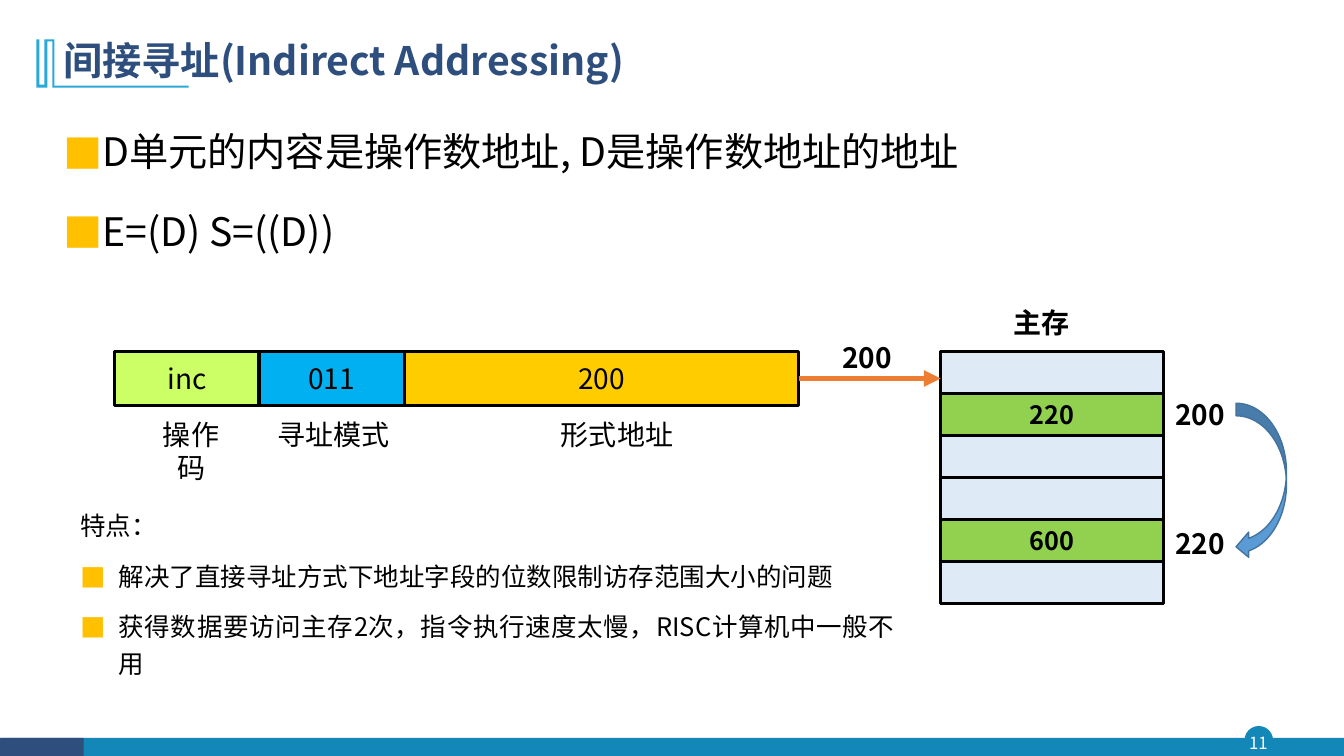
from lxml.etree import SubElement
from pptx import Presentation
from pptx.dml.color import RGBColor
from pptx.enum.shapes import MSO_CONNECTOR, MSO_SHAPE
from pptx.enum.text import MSO_ANCHOR, MSO_AUTO_SIZE, PP_ALIGN
from pptx.oxml.ns import qn
from pptx.util import Inches, Pt

TITLE = "间接寻址(Indirect Addressing)"
DEFINITIONS = ["D单元的内容是操作数地址, D是操作数地址的地址", "E=(D) S=((D))"]
FEATURES_HEAD = "特点："
FEATURES = [
    "解决了直接寻址方式下地址字段的位数限制访存范围大小的问题",
    "获得数据要访问主存2次，指令执行速度太慢，RISC计算机中一般不用",
]
# value, width, fill, caption, caption left, caption width
FIELDS = [
    ("inc", 1.43, "lime", "操作码", 1.38, 1.03),
    ("011", 1.44, "sky", "寻址模式", 2.65, 1.32),
    ("200", 3.91, "amber", "形式地址", 4.23, 3.78),
]
MEMORY = ["", "220", "", "", "600", ""]
# text, left, top, width
BOLD_LABELS = [
    ("200", 8.24, 3.33, 0.72),
    ("主存", 9.95, 2.98, 0.76),
    ("200", 11.54, 3.89, 0.72),
    ("220", 11.54, 5.17, 0.72),
]
PAGE_NUMBER = "11"

THEME = {
    "font": "Noto Sans CJK SC",
    "colors": {
        "black": "000000", "white": "FFFFFF", "navy": "2E4E7E", "teal": "1387B7",
        "cyan": "28A9D6", "lime": "CCFF66", "sky": "00B0F0", "amber": "FFCC00",
        "bullet": "FFC000", "orange": "ED7D31", "pale": "DEEBF7", "green": "92D050",
        "blue": "5B9BD5", "blue_edge": "43739E",
    },
    "sizes": {"title": 28, "body": 28, "label": 20, "cell": 18, "feature": 18.2, "page": 12},
}

FIELD_LEFT, ROW_TOP, FIELD_H = 1.14, 3.49, 0.53
MEM_LEFT, MEM_W, MEM_H, MEM_STEP = 9.33, 2.21, 0.42, 0.416
CAPTION_TOP, LABEL_H = 4.09, 0.44
BULLET_INDENT = 0.38
ORNAMENT = [
    (0.54, 0.39), (0.54, 0.85), (1.87, 0.85), (1.87, 0.87), (0.52, 0.87), (0.52, 0.41),
    (0.47, 0.41), (0.47, 0.87), (0.36, 0.87), (0.36, 0.39), (0.39, 0.39), (0.39, 0.84),
    (0.44, 0.84), (0.44, 0.39),
]


def color(name):
    return RGBColor.from_string(THEME["colors"][name])


def box(*lengths):
    return [Inches(v) for v in lengths]


def write(p, text, size, ink="black", bold=False, **layout):
    """Add one run to p; layout holds paragraph format values."""
    for name, value in layout.items():
        setattr(p, name, value)
    r = p.add_run()
    r.text = text
    look = {"name": THEME["font"], "size": Pt(THEME["sizes"][size]), "bold": bold}
    for name, value in look.items():
        setattr(r.font, name, value)
    r.font.color.rgb = color(ink)
    SubElement(r.font._element, qn("a:ea"), typeface=THEME["font"])


def add_bullet(p):
    pPr = p._p.get_or_add_pPr()
    pPr.set("marL", str(Inches(BULLET_INDENT)))
    pPr.set("indent", str(-Inches(BULLET_INDENT)))
    bu_color = SubElement(pPr, qn("a:buClr"))
    SubElement(bu_color, qn("a:srgbClr"), val=THEME["colors"]["bullet"])
    SubElement(pPr, qn("a:buFont"), typeface=THEME["font"])
    SubElement(pPr, qn("a:buChar"), char="■")


def paint(sp, fill, line=None, width=1):
    sp.shadow.inherit = False
    sp.fill.solid()
    sp.fill.fore_color.rgb = color(fill)
    if line:
        sp.line.color.rgb = color(line)
        sp.line.width = Pt(width)
    else:
        sp.line.fill.background()
    return sp


def add_shape(slide, kind, at, *style):
    return paint(slide.shapes.add_shape(kind, *box(*at)), *style)


def add_cell(slide, at, fill, width, text, size, bold=False):
    sp = add_shape(slide, MSO_SHAPE.RECTANGLE, at, fill, "black", width)
    if text:
        tf = sp.text_frame
        tf.word_wrap = False
        tf.vertical_anchor = MSO_ANCHOR.MIDDLE
        write(tf.paragraphs[0], text, size, bold=bold, alignment=PP_ALIGN.CENTER)
    return sp


def add_text(slide, at):
    tf = slide.shapes.add_textbox(*box(*at)).text_frame
    tf.word_wrap = True
    return tf


def add_label(slide, text, left, top, width, bold=False):
    tf = add_text(slide, (left, top, width, LABEL_H))
    tf.word_wrap = False
    write(tf.paragraphs[0], text, "label", bold=bold, alignment=PP_ALIGN.CENTER)


def add_list(slide, at, items, size, spacing, head=None):
    """Write a bulleted list, below an unbulleted head if one is given."""
    tf = add_text(slide, at)
    for i, text in enumerate(([head] if head else []) + items):
        p = tf.add_paragraph() if i else tf.paragraphs[0]
        if text != head:
            add_bullet(p)
        write(p, text, size, alignment=PP_ALIGN.JUSTIFY, line_spacing=spacing,
              space_before=Pt(10 if i else 0))


def add_frame(slide):
    add_shape(slide, MSO_SHAPE.OVAL, (12.35, 7.21, 0.27, 0.27), "teal", "teal")
    add_shape(slide, MSO_SHAPE.RECTANGLE, (0.01, 7.32, 13.32, 0.18), "teal")
    add_shape(slide, MSO_SHAPE.RECTANGLE, (0, 7.32, 0.83, 0.18), "navy")
    tf = add_text(slide, (12.32, 7.21, 0.32, 0.31))
    for side in ("left", "top", "right", "bottom"):
        setattr(tf, f"margin_{side}", 0)
    tf.vertical_anchor = MSO_ANCHOR.MIDDLE
    write(tf.paragraphs[0], PAGE_NUMBER, "page", "white", alignment=PP_ALIGN.CENTER)
    start, *rest = [tuple(box(*point)) for point in ORNAMENT]
    outline = slide.shapes.build_freeform(*start)
    outline.add_line_segments(rest, close=True)
    paint(outline.convert_to_shape(), "cyan")


def add_title(slide):
    sp = slide.shapes.title
    sp.left, sp.top, sp.width, sp.height = box(0.53, 0.28, 11.5, 0.68)
    tf = sp.text_frame
    tf.auto_size = MSO_AUTO_SIZE.NONE
    tf.vertical_anchor = MSO_ANCHOR.MIDDLE
    write(tf.paragraphs[0], TITLE, "title", "navy", True,
          alignment=PP_ALIGN.LEFT, line_spacing=0.9)


def add_instruction(slide):
    """Draw the instruction word and return its last field."""
    left = FIELD_LEFT
    for value, width, fill, caption, cap_left, cap_width in FIELDS:
        sp = add_cell(slide, (left, ROW_TOP, width, FIELD_H), fill, 2.25, value, "label")
        add_label(slide, caption, cap_left, CAPTION_TOP, cap_width)
        left += width
    return sp


def add_memory(slide):
    for row, value in enumerate(MEMORY):
        at = (MEM_LEFT, ROW_TOP + row * MEM_STEP, MEM_W, MEM_H)
        add_cell(slide, at, "green" if value else "pale", 2, value, "cell", True)
    add_shape(slide, MSO_SHAPE.CURVED_LEFT_ARROW, (12.26, 4, 0.5, 1.55), "blue", "blue_edge")


def add_address_arrow(slide, address_field):
    y = ROW_TOP + FIELD_H / 2
    ends = box(FIELD_LEFT + sum(f[1] for f in FIELDS), y, MEM_LEFT, y)
    arrow = slide.shapes.add_connector(MSO_CONNECTOR.STRAIGHT, *ends)
    arrow.begin_connect(address_field, 3)
    arrow.line.color.rgb = color("orange")
    arrow.line.width = Pt(4)
    SubElement(arrow.line._get_or_add_ln(), qn("a:tailEnd"), type="triangle")
    SubElement(arrow._element.spPr, qn("a:effectLst"))


def main():
    prs = Presentation()
    prs.slide_width, prs.slide_height = box(13.33, 7.5)
    slide = prs.slides.add_slide(prs.slide_layouts[5])
    add_frame(slide)
    add_title(slide)
    add_list(slide, (0.53, 1.03, 11.5, 1.74), DEFINITIONS, "body", 1.4)
    address_field = add_instruction(slide)
    add_memory(slide)
    add_address_arrow(slide, address_field)
    for label in BOLD_LABELS:
        add_label(slide, *label, bold=True)
    add_list(slide, (0.7, 4.95, 8.27, 1.83), FEATURES, "feature", 1.2, FEATURES_HEAD)
    prs.save("out.pptx")


if __name__ == "__main__":
    main()
